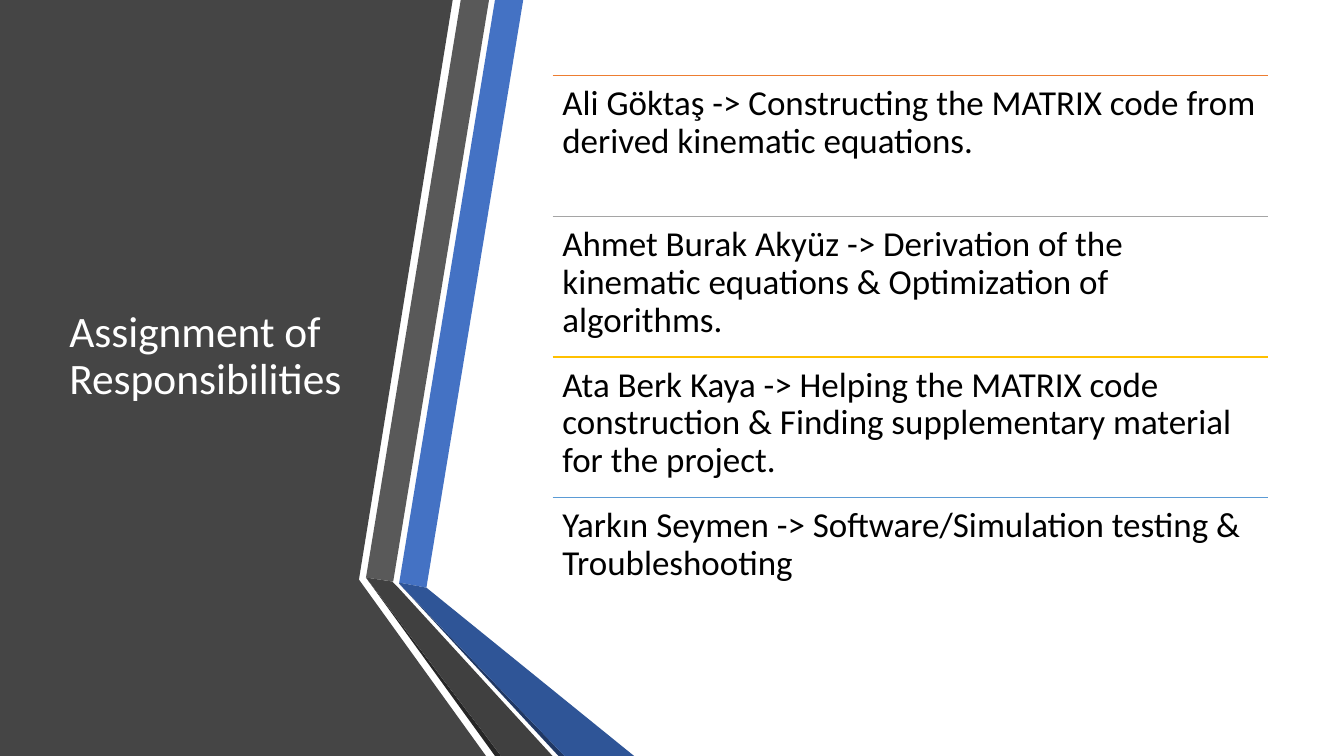
"""Build the Assignment of Responsibilities slide."""
from lxml import etree
from pptx import Presentation
from pptx.dml.color import RGBColor
from pptx.enum.shapes import MSO_CONNECTOR as CONNECTOR
from pptx.enum.text import MSO_ANCHOR as ANCHOR
from pptx.oxml.ns import qn
from pptx.util import Inches, Pt

TITLE = "Assignment of Responsibilities"
DUTIES = [
    ("Ali Göktaş -> Constructing the MATRIX code from derived kinematic equations.", "orange"),
    ("Ahmet Burak Akyüz -> Derivation of the kinematic equations & Optimization of algorithms.", "gray"),
    ("Ata Berk Kaya -> Helping the MATRIX code construction & Finding supplementary material "
     "for the project.", "gold"),
    ("Yarkın Seymen -> Software/Simulation testing & Troubleshooting", "sky"),
]
COLORS = {
    "panel": "454545", "blue": "4472C4", "slate": "595959", "black_edge": "262626",
    "navy_edge": "203864", "blue_fold": "2F5597", "slate_fold": "404040",
    "orange": "ED7D31", "gray": "A5A5A5", "gold": "FFC000", "sky": "5B9BD5",
    "white": "FFFFFF", "black": "000000",
}
BANDS = [
    ("panel", [(0, 0), (4.49, 0), (3.56, 5.75), (4.82, 7.5), (0, 7.5)]),
    ("blue", [(3.96, 5.78), (4.23, 5.83), (5.19, 0), (4.91, 0)]),
    ("slate", [(4.85, 0), (4.57, 0), (3.63, 5.73), (3.9, 5.77)]),
    ("black_edge", [(3.63, 5.73), (4.91, 7.5), (4.97, 7.5)]),
    ("navy_edge", [(3.96, 5.79), (5.54, 7.5), (5.6, 7.5)]),
    ("blue_fold", [(3.96, 5.79), (5.6, 7.5), (6.29, 7.5), (4.23, 5.83), (3.96, 5.78)]),
    ("slate_fold", [(5.48, 7.5), (3.95, 5.83), (3.89, 5.77), (3.63, 5.73), (4.97, 7.5)]),
]
FONT = "Calibri"
TOP, HEIGHT = 0.75, 5.58
TITLE_LEFT, TITLE_WIDTH = 0.59, 3.04
DUTY_LEFT, DUTY_WIDTH = 5.48, 7.1


def color(name):
    return RGBColor.from_string(COLORS[name])


def add_band(slide, name, corners):
    points = [(Inches(x), Inches(y)) for x, y in corners]
    outline = slide.shapes.build_freeform(*points[0])
    outline.add_line_segments(points[1:], close=True)
    band = outline.convert_to_shape()
    band.shadow.inherit = False
    band.fill.solid()
    band.fill.fore_color.rgb = color(name)
    band.line.fill.background()


def add_text(slide, words, box, size, ink, anchor, inset):
    frame = slide.shapes.add_textbox(*map(Inches, box)).text_frame
    frame.word_wrap = True
    frame.vertical_anchor = anchor
    frame.margin_left = frame.margin_right = Inches(0.1)
    frame.margin_top = frame.margin_bottom = Inches(inset)
    paragraph = frame.paragraphs[0]
    paragraph.line_spacing = 0.9
    run = paragraph.add_run()
    run.text = words
    run.font.name = FONT
    run.font.size = Pt(size)
    run.font.color.rgb = color(ink)


def add_rule(slide, y, name):
    rule = slide.shapes.add_connector(
        CONNECTOR.STRAIGHT, Inches(DUTY_LEFT), Inches(y), Inches(DUTY_LEFT + DUTY_WIDTH), Inches(y))
    rule.line.color.rgb = color(name)
    rule.line.width = Pt(1)
    etree.SubElement(rule._element.spPr, qn("a:effectLst"))


deck = Presentation()
deck.slide_width, deck.slide_height = Inches(13.33), Inches(7.5)
slide = deck.slides.add_slide(deck.slide_layouts[6])
slide.background.fill.solid()
slide.background.fill.fore_color.rgb = color("white")

for name, corners in BANDS:
    add_band(slide, name, corners)

add_text(slide, TITLE, (TITLE_LEFT, TOP, TITLE_WIDTH, HEIGHT), 31, "white", ANCHOR.MIDDLE, 0.05)

row_height = HEIGHT / len(DUTIES)
for row, (duty, accent) in enumerate(DUTIES):
    y = TOP + row * row_height
    add_rule(slide, y, accent)
    add_text(slide, duty, (DUTY_LEFT, y, DUTY_WIDTH, row_height), 25, "black", ANCHOR.TOP, 0.1)

deck.save("out.pptx")
